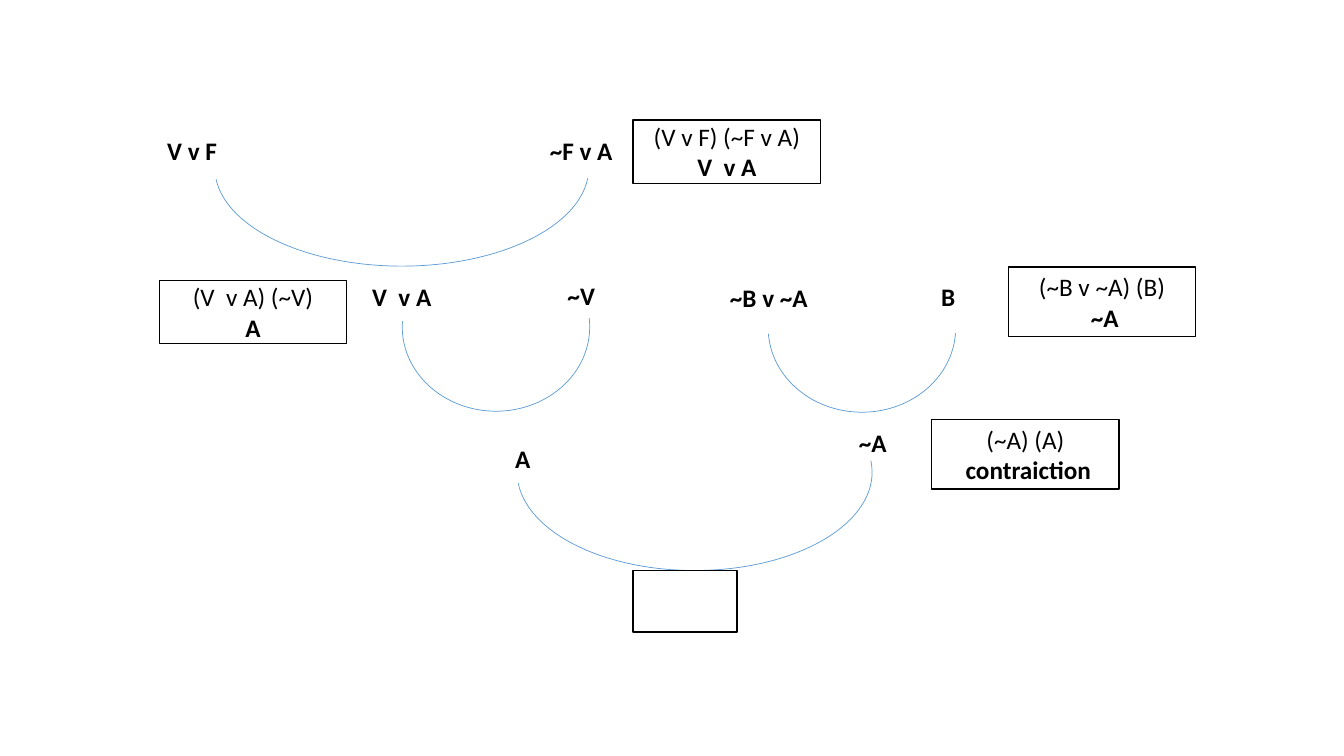
from pptx import Presentation
from pptx.dml.color import RGBColor
from pptx.enum.shapes import MSO_SHAPE
from pptx.enum.text import MSO_ANCHOR, PP_ALIGN
from pptx.util import Inches, Pt

ARC, RECTANGLE = MSO_SHAPE.ARC, MSO_SHAPE.RECTANGLE
MIDDLE, CENTER = MSO_ANCHOR.MIDDLE, PP_ALIGN.CENTER
DEGREE = 0.6


def color(hex_string):
    return RGBColor.from_string(hex_string)


class ResolutionTree:
    font, size = "Calibri", 18
    ink, branch = "000000", "5B9BD5"
    clause_size = (7.73, 8.13)
    step_width = 13.95

    def __init__(self, deck):
        self.deck = deck
        self.slide = deck.slides.add_slide(deck.slide_layouts[6])

    def place(self, left, top, width, height):
        across, down = self.deck.slide_width / 100, self.deck.slide_height / 100
        return [round(share * unit) for share, unit in
                zip((left, top, width, height), (across, down, across, down))]

    def fill_text(self, frame, lines):
        frame.word_wrap = True
        frame.vertical_anchor = MIDDLE
        for index, (wording, bold) in enumerate(lines):
            paragraph = frame.add_paragraph() if index else frame.paragraphs[0]
            paragraph.text = wording
            paragraph.alignment = CENTER
            font = paragraph.font
            font.name, font.size, font.bold = self.font, Pt(self.size), bold
            font.color.rgb = color(self.ink)

    def outline(self, kind, area, line_color, line_width):
        shape = self.slide.shapes.add_shape(kind, *self.place(*area))
        shape.shadow.inherit = False
        shape.fill.background()
        shape.line.color.rgb = color(line_color)
        shape.line.width = Pt(line_width)
        return shape

    def clause(self, wording, left, top):
        area = self.place(left, top, *self.clause_size)
        self.fill_text(self.slide.shapes.add_textbox(*area).text_frame, [(wording, True)])

    def join(self, area, start, end):
        arc = self.outline(ARC, area, self.branch, 0.5)
        arc.adjustments[0] = start * DEGREE
        arc.adjustments[1] = end * DEGREE

    def step(self, premises, result, left, top, height):
        box = self.outline(RECTANGLE, (left, top, self.step_width, height), self.ink, 1)
        self.fill_text(box.text_frame, [(premises, False), (result, True)])

    def empty_clause(self, left, top):
        self.outline(RECTANGLE, (left, top, *self.clause_size), self.ink, 1)


deck = Presentation()
deck.slide_width, deck.slide_height = Inches(13.33), Inches(7.5)
tree = ResolutionTree(deck)

for clause in (
    ("V v F", 10.43, 15.87),
    ("~F v A", 39.38, 15.87),
    ("V  v A", 26.03, 35.2),
    ("~V", 39.38, 35.07),
    ("~B v ~A", 53.34, 35.33),
    ("B", 66.69, 35.2),
    ("A", 35.03, 56.53),
    ("~A", 61.07, 54.4),
):
    tree.clause(*clause)

for join in (
    ((15.98, 9.2, 27.83, 26), 3.2, 176.47),
    ((29.93, 32.13, 13.95, 22.27), 354.56, 183.53),
    ((57.16, 32.27, 13.95, 22.27), 3.2, 176.47),
    ((38.48, 49.47, 26.41, 26), 356.2, 176.47),
):
    tree.join(*join)

for step in (
    ("(V v F) (~F v A)", "V  v A", 47.11, 15.87, 8.4),
    ("(V  v A) (~V)", "A", 11.85, 37.07, 8.4),
    ("(~B v ~A) (B)", " ~A", 75.02, 35.33, 9.2),
    ("(~A) (A)", " contraiction", 69.32, 55.47, 9.2),
):
    tree.step(*step)

tree.empty_clause(47.11, 75.47)
deck.save("out.pptx")
